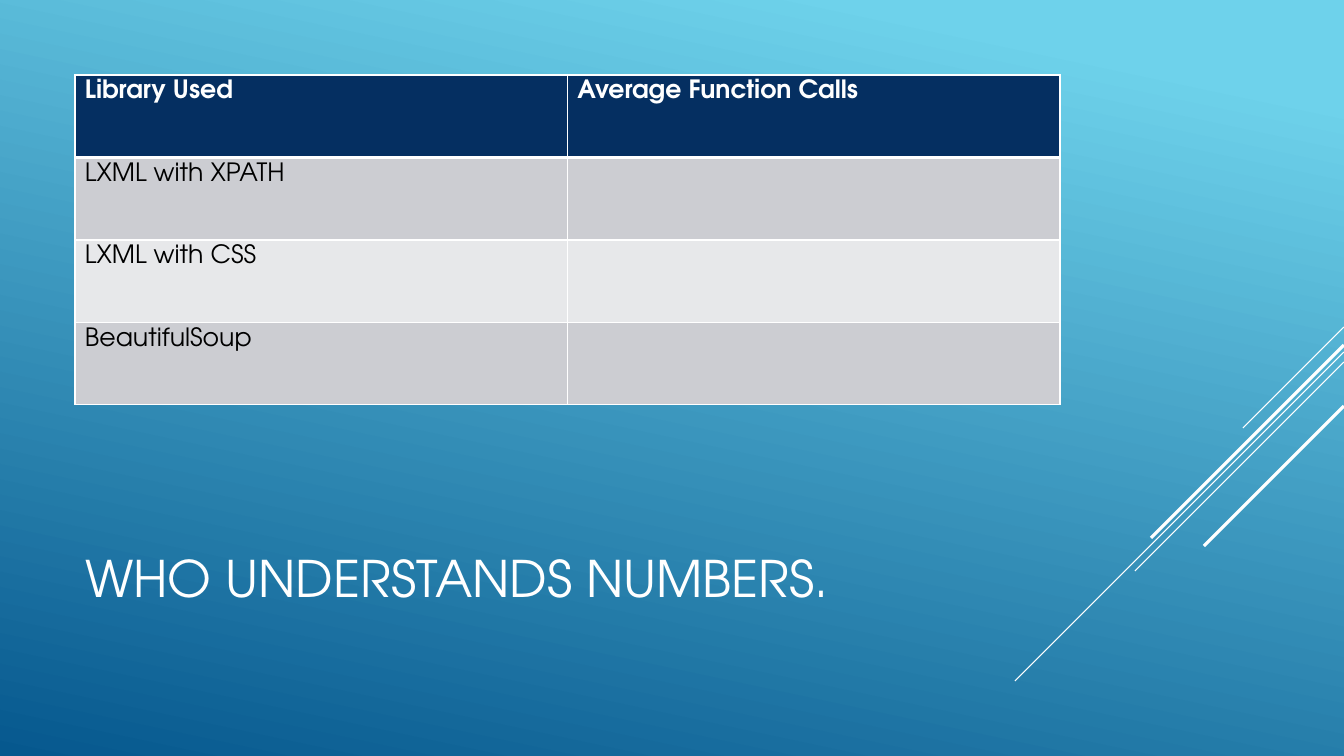
from typing import NamedTuple

from pptx import Presentation
from pptx.dml.color import RGBColor
from pptx.enum.shapes import MSO_CONNECTOR as Connector
from pptx.enum.text import MSO_ANCHOR as Anchor, MSO_AUTO_SIZE as AutoSize, PP_ALIGN as Align
from pptx.oxml import parse_xml
from pptx.oxml.ns import nsdecls
from pptx.slide import Slide
from pptx.table import _Cell as Cell
from pptx.text.text import TextFrame
from pptx.util import Pt

EMU_PER_PIXEL = 914400 / 100.8
PAGE_WIDTH, PAGE_HEIGHT = 1344, 756
FONT = "TeX Gyre Adventor"
WHITE, BLACK, NAVY = "FFFFFF", "000000", "052F61"
BANDS = ("CCCDD2", "E7E8EA")
SKY, OCEAN = "6ED2EB", "06588E"
THIN, THICK = 0.75, 2.25
CELL_BORDER, HEADER_RULE = 1, 3
CELL_MARGIN_X, CELL_MARGIN_Y = 10, 5

TABLE_ROWS = [
    ("Library Used", "Average Function Calls"),
    ("LXML with XPATH", ""),
    ("LXML with CSS", ""),
    ("BeautifulSoup", ""),
]


class Box(NamedTuple):
    """A place on the slide, in pixels."""
    left: int
    top: int
    width: int
    height: int


class Stripe(NamedTuple):
    """A 45 degree line running down and left from the right edge."""
    top: int
    run: int
    weight: float


TITLE_BOX = Box(75, 494, 940, 166)
TABLE_BOX = Box(75, 75, 985, 330)
STRIPES = [
    Stripe(327, 101, THIN),
    Stripe(352, 329, THIN),
    Stripe(362, 209, THIN),
    Stripe(345, 193, THICK),
    Stripe(406, 140, THICK),
]


def emu(pixels: int) -> int:
    """Turn pixels into EMU."""
    return round(pixels * EMU_PER_PIXEL)


def color(code: str) -> RGBColor:
    """Turn a hex string into a colour."""
    return RGBColor.from_string(code)


def write(frame: TextFrame, text: str, *, size: float, ink: str, bold: bool = False) -> None:
    """Put one formatted, left-aligned line of text into a frame."""
    para = frame.paragraphs[0]
    para.alignment = Align.LEFT
    para.font.size = Pt(size)
    if not text:
        return
    span = para.add_run()
    span.text = text
    span.font.name = FONT
    span.font.size = Pt(size)
    span.font.bold = bold
    span.font.color.rgb = color(ink)


def paint_background(page: Slide) -> None:
    """Fill the page with the blue gradient."""
    fill = page.background.fill
    fill.gradient()
    fill.gradient_angle = 360 - 102
    for stop, position, code in zip(fill.gradient_stops, (0.1, 1), (SKY, OCEAN)):
        stop.position = position
        stop.color.rgb = color(code)


def draw_stripe(page: Slide, stripe: Stripe) -> None:
    """Draw one diagonal white line."""
    line = page.shapes.add_connector(
        Connector.STRAIGHT, emu(PAGE_WIDTH), emu(stripe.top),
        emu(PAGE_WIDTH - stripe.run), emu(stripe.top + stripe.run))
    line.line.color.rgb = color(WHITE)
    line.line.width = Pt(stripe.weight)
    line._element.spPr.append(parse_xml(f"<a:effectLst {nsdecls('a')}/>"))


def set_borders(cell: Cell, top: float, bottom: float) -> None:
    """Give a cell white borders, ahead of its fill."""
    properties = cell._tc.get_or_add_tcPr()
    weights = {"L": CELL_BORDER, "R": CELL_BORDER, "T": top, "B": bottom}
    for index, (side, weight) in enumerate(weights.items()):
        properties.insert(index, parse_xml(
            f'<a:ln{side} {nsdecls("a")} w="{Pt(weight)}"><a:solidFill>'
            f'<a:srgbClr val="{WHITE}"/></a:solidFill></a:ln{side}>'))


def draw_table(page: Slide, box: Box, rows: list[tuple[str, ...]]) -> None:
    """Draw the table with a navy header and banded rows."""
    table = page.shapes.add_table(len(rows), len(rows[0]), *map(emu, box)).table
    for row, texts in enumerate(rows):
        header = row == 0
        for column, text in enumerate(texts):
            cell = table.cell(row, column)
            cell.vertical_anchor = Anchor.TOP
            cell.margin_top = cell.margin_bottom = emu(CELL_MARGIN_Y)
            cell.margin_left = cell.margin_right = emu(CELL_MARGIN_X)
            cell.fill.solid()
            cell.fill.fore_color.rgb = color(NAVY if header else BANDS[(row - 1) % 2])
            set_borders(cell, top=HEADER_RULE if row == 1 else CELL_BORDER,
                        bottom=HEADER_RULE if header else CELL_BORDER)
            write(cell.text_frame, text, size=18, ink=WHITE if header else BLACK, bold=header)


def place_title(page: Slide, box: Box, text: str) -> None:
    """Move the title placeholder and write the title."""
    title = page.shapes.title
    title.left, title.top, title.width, title.height = map(emu, box)
    frame = title.text_frame
    frame.word_wrap = True
    frame.auto_size = AutoSize.NONE
    frame.vertical_anchor = Anchor.MIDDLE
    write(frame, text, size=36, ink=WHITE)


def main() -> None:
    """Build and save the slide."""
    deck = Presentation()
    deck.slide_width, deck.slide_height = emu(PAGE_WIDTH), emu(PAGE_HEIGHT)
    title_only = deck.slide_layouts[5]
    page = deck.slides.add_slide(title_only)
    paint_background(page)
    for stripe in STRIPES:
        draw_stripe(page, stripe)
    place_title(page, TITLE_BOX, "WHO UNDERSTANDS NUMBERS.")
    draw_table(page, TABLE_BOX, TABLE_ROWS)
    deck.save("out.pptx")


main()
